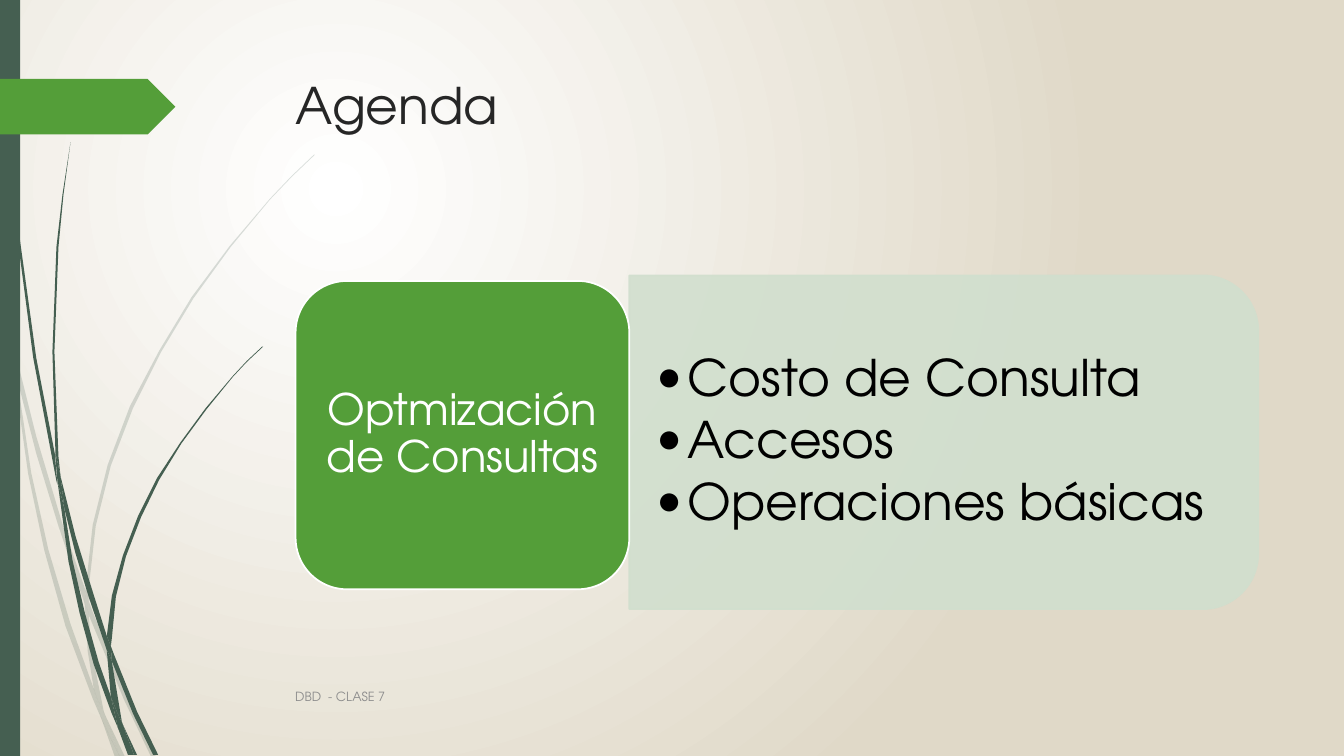
from lxml import etree
from pptx import Presentation
from pptx.dml.color import RGBColor
from pptx.enum.shapes import MSO_SHAPE
from pptx.enum.text import MSO_ANCHOR, PP_ALIGN
from pptx.oxml.ns import qn
from pptx.util import Cm, Pt

RECTANGLE = MSO_SHAPE.RECTANGLE
PENNANT = MSO_SHAPE.PENTAGON
ROUNDED = MSO_SHAPE.ROUNDED_RECTANGLE
ROUNDED_TOP = MSO_SHAPE.ROUND_2_SAME_RECTANGLE
TOP, MIDDLE = MSO_ANCHOR.TOP, MSO_ANCHOR.MIDDLE
LEFT, CENTER = PP_ALIGN.LEFT, PP_ALIGN.CENTER

FONT = "TeX Gyre Adventor"
COLORS = {
    "white": "FFFFFF",
    "sand": "E0D9C8",
    "forest": "455F51",
    "green": "549E39",
    "mint": "D1DFCE",
    "title": "262626",
    "black": "000000",
    "footer": "8C8C8C",
}
GRASS_UNIT_CM = 0.0254

PALE_GRASS = [
    [(11, 350), (9, 322), (0, 282), (0, 299), (10, 344)],
    [(58, 522), (84, 599), (85, 586), (62, 520), (36, 433), (14, 345),
     (17, 376), (36, 450)],
    [(92, 607), (88, 596), (88, 610), (123, 694), (150, 751), (155, 751),
     (127, 692)],
    [(119, 751), (124, 751), (105, 711)],
    [(93, 683), (70, 619), (48, 545), (31, 469), (17, 376), (11, 350),
     (28, 470), (44, 546), (65, 621), (92, 693), (101, 714), (99, 707)],
    [(84, 599), (87, 646), (93, 683), (96, 692), (105, 711), (103, 706),
     (91, 646), (88, 610), (88, 608)],
    [(88, 584), (95, 522), (110, 462), (132, 405), (160, 349), (192, 296),
     (229, 245), (268, 198), (290, 175), (312, 154), (312, 153), (289, 175),
     (268, 197), (228, 244), (190, 295), (158, 348), (129, 403), (107, 461),
     (92, 521), (85, 584), (85, 586), (88, 596)],
    [(101, 714), (114, 751), (119, 751)],
    [(88, 608), (88, 610), (88, 596), (85, 586), (84, 599)],
    [(96, 692), (93, 683), (99, 707), (101, 714), (119, 751), (105, 711)],
]
DARK_GRASS = [
    [(7, 110), (17, 233), (33, 355), (56, 477), (57, 481), (55, 457),
     (55, 453), (36, 355), (19, 232), (8, 109), (5, 48), (4, 0), (3, 0),
     (4, 48)],
    [(88, 592), (106, 645), (106, 633), (106, 631), (93, 590), (75, 532),
     (60, 472), (64, 505), (75, 549)],
    [(113, 649), (110, 641), (111, 656), (132, 708), (152, 749), (157, 749),
     (136, 706)],
    [(110, 691), (98, 657), (84, 607), (72, 556), (64, 505), (57, 477),
     (68, 557), (79, 608), (93, 659), (111, 708), (117, 722), (116, 717)],
    [(60, 472), (58, 453), (54, 349), (58, 245), (63, 193), (70, 141),
     (62, 193), (56, 245), (52, 349), (55, 449)],
    [(133, 749), (136, 749), (122, 719)],
    [(57, 477), (64, 505), (60, 472), (55, 449), (55, 453)],
    [(111, 633), (115, 592), (125, 552), (140, 513), (158, 476), (180, 440),
     (205, 406), (231, 374), (245, 359), (261, 344), (260, 344), (245, 358),
     (231, 373), (204, 405), (179, 439), (156, 474), (137, 512), (122, 551),
     (111, 591), (106, 631), (110, 641)],
    [(117, 722), (127, 749), (131, 749)],
    [(106, 645), (110, 691), (116, 706), (122, 719), (121, 716), (111, 656),
     (109, 651)],
    [(106, 645), (109, 651), (111, 656), (110, 641), (106, 631), (106, 633)],
    [(116, 706), (110, 691), (116, 717), (117, 722), (130, 749), (133, 749),
     (122, 719)],
]


def rgb(name):
    return RGBColor.from_string(COLORS[name])


def paint(shape, fill, line=None, opacity=100):
    shape.shadow.inherit = False
    shape.fill.solid()
    shape.fill.fore_color.rgb = rgb(fill)
    if line:
        shape.line.color.rgb = rgb(line)
        shape.line.width = Pt(1.25)
    else:
        shape.line.fill.background()
    if opacity < 100:
        for color in shape.element.spPr.iter(qn("a:srgbClr")):
            etree.SubElement(color, qn("a:alpha"), val=str(opacity * 1000))


def add_block(slide, preset, box, fill, line=None, opacity=100):
    block = slide.shapes.add_shape(preset, *map(Cm, box))
    paint(block, fill, line, opacity)
    return block


def write(frame, lines, size, color, anchor=TOP, align=LEFT, insets=(0.25, 0.13)):
    frame.word_wrap = True
    frame.vertical_anchor = anchor
    frame.margin_left = frame.margin_right = Cm(insets[0])
    frame.margin_top = frame.margin_bottom = Cm(insets[1])
    for index, line in enumerate(lines):
        paragraph = frame.add_paragraph() if index else frame.paragraphs[0]
        paragraph.text = line
        paragraph.alignment = align
        paragraph.font.name = FONT
        paragraph.font.size = Pt(size)
        paragraph.font.color.rgb = rgb(color)


def add_text(slide, box, lines, size, color, **layout):
    frame = slide.shapes.add_textbox(*map(Cm, box)).text_frame
    write(frame, lines, size, color, **layout)
    return frame


def add_bullets(frame, indent, space_after):
    for paragraph in frame.paragraphs:
        paragraph.line_spacing = 0.9
        paragraph.space_after = Pt(space_after)
        properties = paragraph._p.get_or_add_pPr()
        properties.set("marL", str(Cm(indent)))
        properties.set("indent", str(-Cm(indent)))
        run_defaults = properties.find(qn("a:defRPr"))
        for tag, name, value in (("a:buFont", "typeface", FONT),
                                 ("a:buChar", "char", "•")):
            bullet = etree.SubElement(properties, qn(tag))
            bullet.set(name, value)
            run_defaults.addprevious(bullet)


def add_grass(slide, pieces, opacity=100):
    for piece in pieces:
        outline = [(Cm(x * GRASS_UNIT_CM), Cm(y * GRASS_UNIT_CM)) for x, y in piece]
        builder = slide.shapes.build_freeform(*outline[0])
        builder.add_line_segments(outline[1:])
        paint(builder.convert_to_shape(), "forest", opacity=opacity)


def set_background(slide):
    fill = slide.background.fill
    fill.gradient()
    for stop, position, color in zip(fill.gradient_stops, (0, 1), ("white", "sand")):
        stop.position = position
        stop.color.rgb = rgb(color)
    gradient = next(slide.element.iter(qn("a:gradFill")))
    gradient.remove(gradient.find(qn("a:lin")))
    circle = etree.SubElement(gradient, qn("a:path"), path="circle")
    etree.SubElement(circle, qn("a:fillToRect"),
                     l="50000", t="50000", r="100000", b="100000")


def main():
    deck = Presentation()
    deck.slide_width, deck.slide_height = Cm(33.87), Cm(19.05)
    slide = deck.slides.add_slide(deck.slide_layouts[6])
    set_background(slide)

    add_grass(slide, PALE_GRASS, opacity=20)
    add_grass(slide, DARK_GRASS)
    add_block(slide, RECTANGLE, (0, 0, 0.51, 19.05), "forest")
    add_block(slide, PENNANT, (0, 1.99, 4.42, 1.4), "green")

    add_text(slide, (7.21, 1.73, 24.77, 3.56), ["Agenda"], 36, "title")

    panel = add_block(slide, ROUNDED_TOP, (19.58, 3.22, 8.41, 15.85),
                      "mint", "mint", opacity=90)
    panel.rotation = 90
    topics = add_text(slide, (15.85, 7.37, 15.44, 7.57),
                      ["Costo de Consulta", "Accesos", "Operaciones básicas"],
                      36, "black", anchor=MIDDLE, insets=(0.69, 0.36))
    add_bullets(topics, indent=0.79, space_after=5.4)

    subject = add_block(slide, ROUNDED, (7.45, 7.08, 8.41, 7.77), "green", "white")
    write(subject.text_frame, ["Optmización de Consultas"], 31, "white",
          anchor=MIDDLE, align=CENTER, insets=(0.33, 0.15))
    subject.text_frame.paragraphs[0].line_spacing = 0.9

    add_text(slide, (7.19, 17.04, 21.16, 1.02), ["DBD  - CLASE 7"], 9, "footer",
             anchor=MIDDLE)
    deck.save("out.pptx")


if __name__ == "__main__":
    main()
